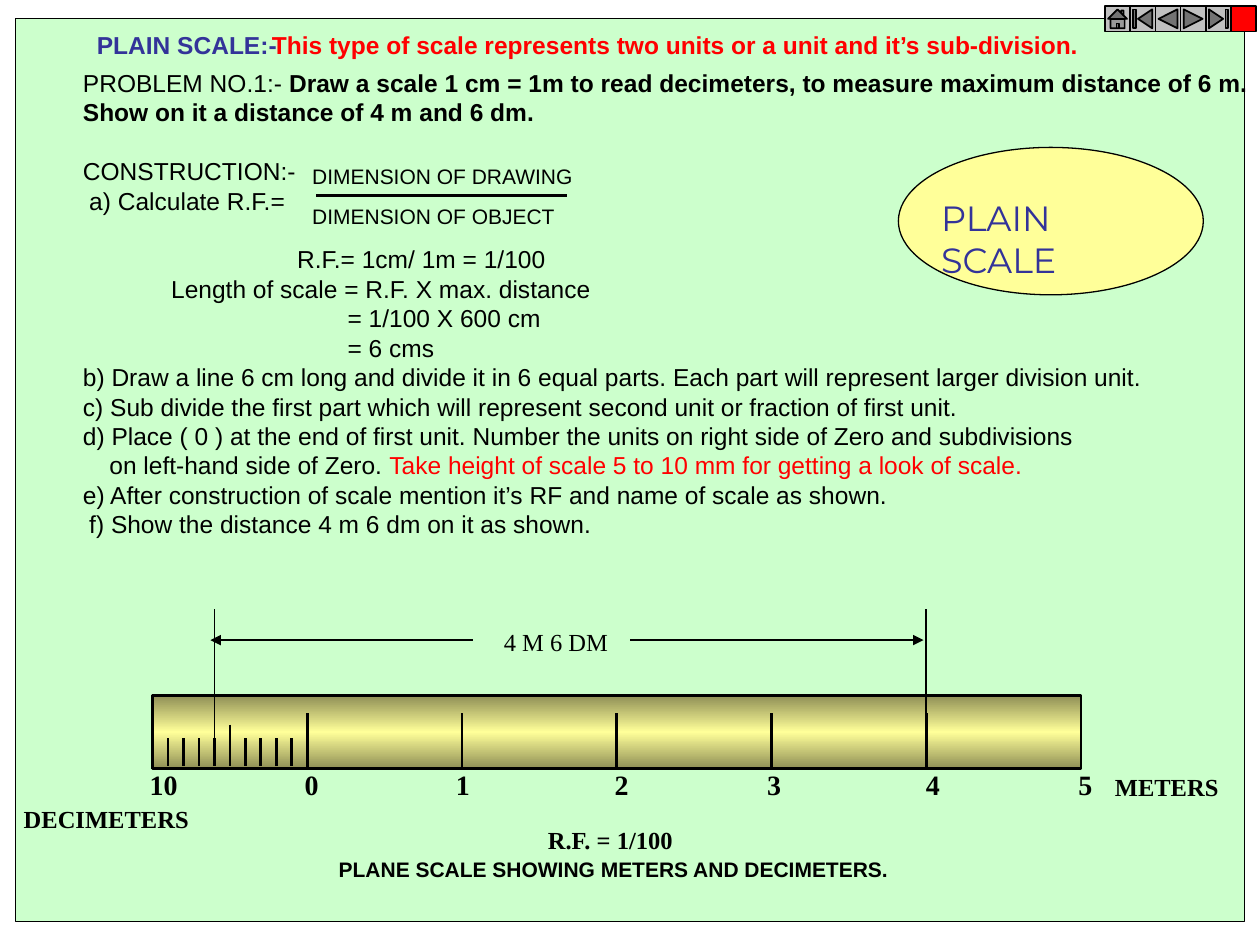
from copy import deepcopy
from dataclasses import dataclass
from typing import Any

from lxml import etree
from pptx import Presentation
from pptx import util as u
from pptx.dml.color import RGBColor
from pptx.enum import shapes, text
from pptx.oxml.ns import qn


@dataclass(frozen=True)
class Theme:
    black: str = "000000"
    red: str = "FF0000"
    indigo: str = "333399"
    mint: str = "CCFFCC"
    yellow: str = "FFFF99"
    olive: str = "8F8F56"
    gray: str = "C0C0C0"
    sans: str = "Arial"
    serif: str = "Times New Roman"
    display: str = "Montserrat"
    small: float = 12
    body: float = 14
    number: float = 16
    badge: float = 20
    leading: float = 1.2
    thin: float = 0.75
    button: float = 1
    thick: float = 1.5


@dataclass(frozen=True)
class Place:
    """Position and size in grid columns and rows."""
    column: float
    row: float
    columns: float
    rows: float


@dataclass(frozen=True)
class Run:
    words: str
    bold: bool = False
    color: str = Theme.black


@dataclass(frozen=True)
class Line:
    runs: tuple[Run, ...]
    indent: float = 0
    blank_before: bool = False


@dataclass(frozen=True)
class Label:
    place: Place
    words: str
    size: float = Theme.body
    font: str = Theme.serif
    bold: bool = True
    color: str = Theme.black
    wrap: bool = False


theme = Theme()
presentation = Presentation()
presentation.slide_width, presentation.slide_height = u.Inches(10), u.Inches(7.5)
slide = presentation.slides.add_slide(presentation.slide_layouts[6])
CELL = presentation.slide_width / 100  # grid of 100 columns by 75 rows


def cells(count: float) -> int:
    return u.Emu(round(count * CELL))


def box(place: Place) -> list[int]:
    return [cells(n) for n in (place.column, place.row, place.columns, place.rows)]


def apply(target: Any, formats: dict[str, Any]) -> None:
    for name, value in formats.items():
        setattr(target, name, value)


def draw_shape(kind: Any, place: Place, fill: str, weight: float = theme.thin) -> Any:
    shape = slide.shapes.add_shape(kind, *box(place))
    shape.shadow.inherit = False
    shape.fill.solid()
    shape.fill.fore_color.rgb = RGBColor.from_string(fill)
    shape.line.color.rgb = RGBColor.from_string(theme.black)
    shape.line.width = u.Pt(weight)
    return shape


def draw_line(x1: float, y1: float, x2: float, y2: float,
              weight: float = theme.thin, arrow: bool = False) -> Any:
    connector = slide.shapes.add_connector(
        shapes.MSO_CONNECTOR.STRAIGHT, *map(cells, (x1, y1, x2, y2)))
    connector.line.color.rgb = RGBColor.from_string(theme.black)
    connector.line.width = u.Pt(weight)
    if arrow:
        etree.SubElement(connector.line._get_or_add_ln(), qn("a:tailEnd"), type="triangle")
    etree.SubElement(connector._element.spPr, qn("a:effectLst"))
    return connector


def draw_text(place: Place, lines: tuple[Line, ...], size: float, font: str,
              wrap: bool = False) -> None:
    frame = slide.shapes.add_textbox(*box(place)).text_frame
    apply(frame, {"word_wrap": wrap, "vertical_anchor": text.MSO_ANCHOR.TOP})
    leading = u.Pt(size * theme.leading)
    for index, line in enumerate(lines):
        paragraph = frame.add_paragraph() if index else frame.paragraphs[0]
        paragraph.line_spacing = leading
        if line.blank_before:
            paragraph.space_before = leading
        if line.indent:
            paragraph._p.get_or_add_pPr().set("marL", str(cells(line.indent)))
        for part in line.runs:
            run = paragraph.add_run()
            run.text = part.words
            apply(run.font, {"size": u.Pt(size), "name": font, "bold": part.bold})
            run.font.color.rgb = RGBColor.from_string(part.color)


def draw_label(label: Label) -> None:
    line = Line((Run(label.words, label.bold, label.color),))
    draw_text(label.place, (line,), label.size, label.font, label.wrap)


# Page panel and scale bar
draw_shape(shapes.MSO_SHAPE.RECTANGLE, Place(1.25, 1.45, 97.5, 71.7), theme.mint)
BAR = Place(12.1, 55.2, 73.7, 5.8)
METER = BAR.columns / 6
BOTTOM = BAR.row + BAR.rows
bar = draw_shape(shapes.MSO_SHAPE.RECTANGLE, BAR, theme.yellow, theme.thick)
bar.fill.gradient()
bar.fill.gradient_angle = 90
stop_list = bar._element.spPr.find(qn("a:gradFill")).find(qn("a:gsLst"))
stop_list.append(deepcopy(stop_list[0]))
for stop, position, color in zip(bar.fill.gradient_stops, (0, 0.5, 1),
                                 (theme.olive, theme.yellow, theme.olive)):
    stop.position = position
    stop.color.rgb = RGBColor.from_string(color)

# Meter and decimeter divisions
for meter in range(7):
    x = BAR.column + meter * METER
    tick = draw_line(x, 56.6, x, BOTTOM, theme.thick)
    if meter == 3:
        tick.end_connect(bar, 2)
for decimeter in range(1, 10):
    x = BAR.column + decimeter * METER / 10
    draw_line(x, 57.5 if decimeter == 5 else 58.6, x, 60.8, theme.thick)
draw_line(BAR.column, BOTTOM, BAR.column + BAR.columns, BOTTOM)

# Numbers under the scale
for number, column in zip(("10", "0", "1", "2", "3", "4", "5"),
                          (10.9, 23.2, 35.2, 47.8, 59.9, 72.5, 84.6)):
    draw_label(Label(Place(column, 60.4, 2 + 1.2 * len(number), 3.7), number, theme.number))

# Measured distance
for x, end in ((73.5, 57.5), (17, 59.2)):
    draw_line(x, end, x, 48.3)
for start, end in ((50, 73.3), (37.5, 16.7)):
    draw_line(start, 50.8, end, 50.8, arrow=True)

# Badge, headings and captions
draw_shape(shapes.MSO_SHAPE.OVAL, Place(71.3, 11.7, 24.2, 11.7), theme.yellow)
for label in (
    Label(Place(6.7, 1.9, 16.8, 3.4), "PLAIN SCALE:-", font=theme.sans, color=theme.indigo),
    Label(Place(20.6, 1.9, 67, 3.4),
          "This type of scale represents two units or a unit and it’s sub-division.",
          font=theme.sans, color=theme.red),
    Label(Place(87.5, 60.8, 11, 3.4), "METERS"),
    Label(Place(0.9, 63.3, 16, 3.4), "DECIMETERS"),
    Label(Place(42.5, 65, 13, 3.4), "R.F. = 1/100"),
    Label(Place(39, 49.3, 11, 3.4), "4 M 6 DM", bold=False),
    Label(Place(25.9, 67.5, 47, 3), "PLANE SCALE SHOWING METERS AND DECIMETERS.",
          theme.small, theme.sans),
    Label(Place(73.7, 15.1, 19.5, 4.4), "PLAIN SCALE", theme.badge, theme.display,
          False, theme.indigo, True),
    Label(Place(23.8, 12.5, 24, 3), "DIMENSION OF DRAWING", theme.small, theme.sans, False),
    Label(Place(23.8, 15.7, 24, 3), "DIMENSION OF OBJECT", theme.small, theme.sans, False),
):
    draw_label(label)
draw_line(25.1, 15.5, 45, 15.5, theme.thick)

# Problem and construction steps
draw_text(Place(5.6, 4.9, 94.5, 43.1), (
    Line((Run("PROBLEM NO.1:- "), Run(
        "Draw a scale 1 cm = 1m to read decimeters, to measure maximum distance of 6 m.", True))),
    Line((Run("Show on it a distance of 4 m and 6 dm.", True),)),
    Line((Run("CONSTRUCTION:-"),), blank_before=True),
    Line((Run("a) Calculate R.F.="),), 0.5),
    Line((Run("R.F.= 1cm/ 1m = 1/100"),), 17, True),
    Line((Run("Length of scale = R.F. X max. distance"),), 7),
    Line((Run("= 1/100 X 600 cm"),), 21),
    Line((Run("= 6 cms"),), 21),
    Line((Run("b) Draw a line 6 cm long and divide it in 6 equal parts. "
              "Each part will represent larger division unit."),)),
    Line((Run("c) Sub divide the first part which will represent second unit "
              "or fraction of first unit."),)),
    Line((Run("d) Place ( 0 ) at the end of first unit. Number the units "
              "on right side of Zero and subdivisions"),)),
    Line((Run("on left-hand side of Zero. "), Run(
        "Take height of scale 5 to 10 mm for getting a look of scale.", color=theme.red)), 2.1),
    Line((Run("e) After construction of scale mention it’s RF and name of scale as shown."),)),
    Line((Run("f) Show the distance 4 m 6 dm on it as shown."),), 0.5),
), theme.body, theme.sans)

# Navigation buttons
for index, name in enumerate(("HOME", "BEGINNING", "BACK_OR_PREVIOUS",
                              "FORWARD_OR_NEXT", "END", "CUSTOM")):
    draw_shape(shapes.MSO_SHAPE["ACTION_BUTTON_" + name], Place(87.7 + 2 * index, 0.5, 2, 2),
               theme.red if name == "CUSTOM" else theme.gray, theme.button)

presentation.save("out.pptx")
